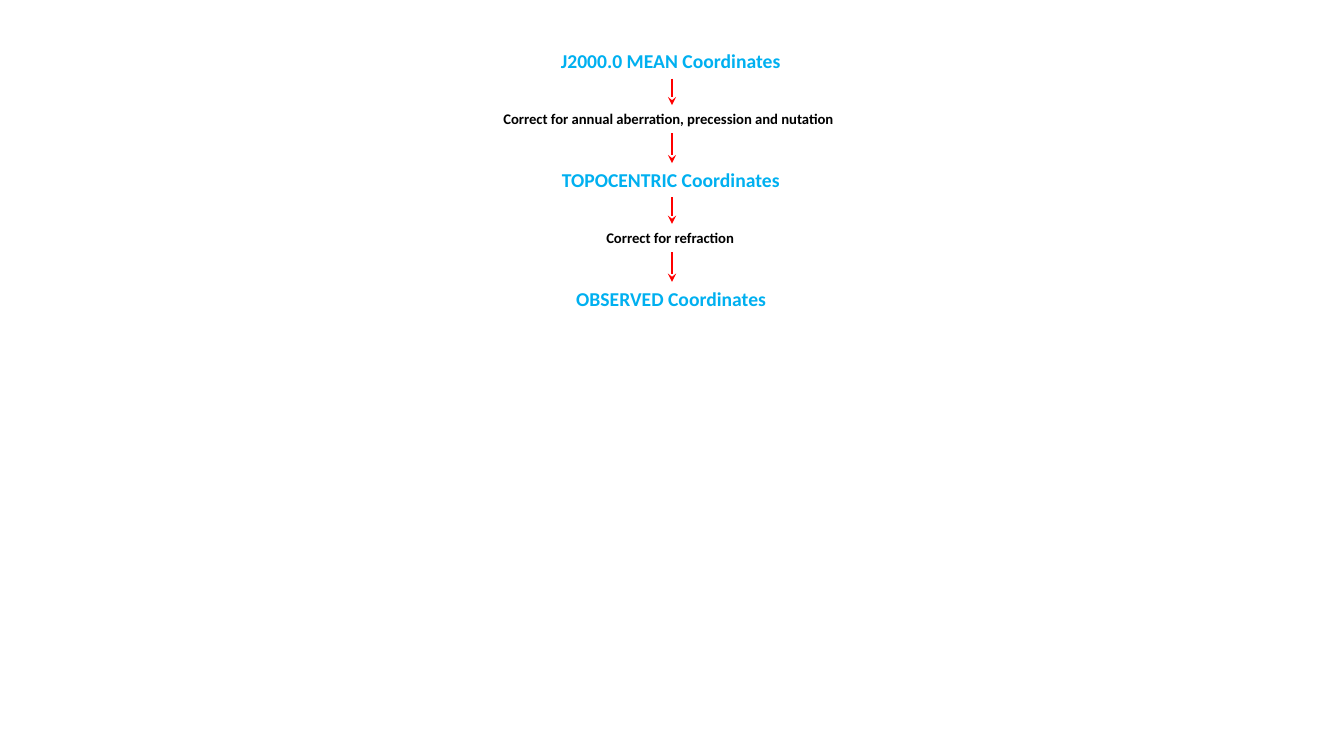
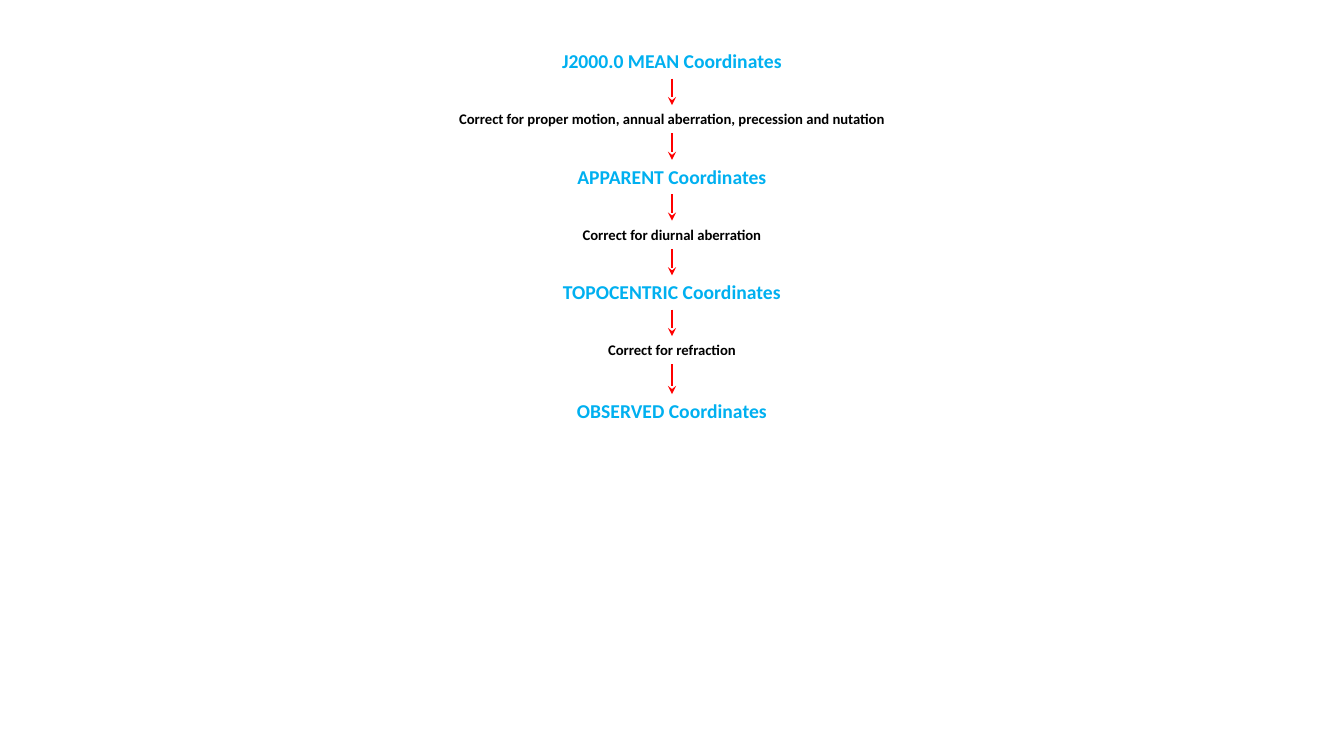
from lxml import etree
from pptx import Presentation
from pptx.dml.color import RGBColor
from pptx.enum import shapes, text
from pptx.oxml import ns
from pptx.util import Cm, Pt

SKY = RGBColor(0x00, 0xB0, 0xF0)
BLACK = RGBColor(0x00, 0x00, 0x00)
RED = RGBColor(0xFF, 0x00, 0x00)
FONT = "Calibri"
STAGE = {"height": Cm(0.86), "size": Pt(14), "color": SKY}
STEP = {"height": Cm(0.71), "size": Pt(10.5), "color": BLACK}
SHORT, LONG = Cm(0.67), Cm(0.75)
LEFT, CENTER = text.PP_ALIGN.LEFT, text.PP_ALIGN.CENTER

MEAN = "J2000.0 MEAN Coordinates"
TOPOCENTRIC = ("TOPOCENTRIC Coordinates", Cm(6.05), STAGE, SHORT)
REFRACTION = ("Correct for refraction", Cm(3.81), STEP, LONG)
OBSERVED = ("OBSERVED Coordinates", Cm(5.33), STAGE, None)

PLANET_FLOW = [
    (MEAN, Cm(6.1), STAGE, SHORT),
    ("Correct for annual aberration, precession and nutation", Cm(9), STEP, LONG),
    TOPOCENTRIC,
    REFRACTION,
    OBSERVED,
]
STAR_FLOW = [
    (MEAN, Cm(6.32), STAGE, SHORT),
    ("Correct for proper motion, annual aberration, precession and nutation",
     Cm(11.43), STEP, SHORT),
    ("APPARENT Coordinates", Cm(5.31), STAGE, SHORT),
    ("Correct for diurnal aberration", Cm(5.11), STEP, SHORT),
    TOPOCENTRIC,
    REFRACTION,
    OBSERVED,
]


def add_label(page, left, top, width, style, words, align):
    box = page.shapes.add_textbox(left, top, width, style["height"])
    frame = box.text_frame
    frame.word_wrap = align == CENTER
    frame.auto_size = text.MSO_AUTO_SIZE.SHAPE_TO_FIT_TEXT
    para = frame.paragraphs[0]
    para.alignment = align
    span = para.add_run()
    span.text = words
    span.font.name = FONT
    span.font.size = style["size"]
    span.font.bold = True
    span.font.color.rgb = style["color"]


def add_arrow(page, x, top, length):
    arrow = page.shapes.add_connector(
        shapes.MSO_CONNECTOR.STRAIGHT, x, top, x, top + length)
    arrow.line.color.rgb = RED
    arrow.line.width = Pt(1.5)
    etree.SubElement(arrow.line._get_or_add_ln(), ns.qn("a:tailEnd"), type="stealth")
    etree.SubElement(arrow._element.spPr, ns.qn("a:effectLst"))


def add_flow(page, left, top, width, flow, align):
    middle = left + width // 2
    for words, label_width, style, gap in flow:
        add_label(page, middle - label_width // 2, top, label_width, style, words, align)
        top += style["height"]
        if gap:
            add_arrow(page, middle, top, gap)
            top += gap


deck = Presentation()
deck.slide_width, deck.slide_height = Cm(33.87), Cm(19.05)
for flow, align in ((PLANET_FLOW, LEFT), (STAR_FLOW, CENTER)):
    page = deck.slides.add_slide(deck.slide_layouts[6])
    add_flow(page, Cm(0), Cm(1.12), deck.slide_width, flow, align)
deck.save("out.pptx")
